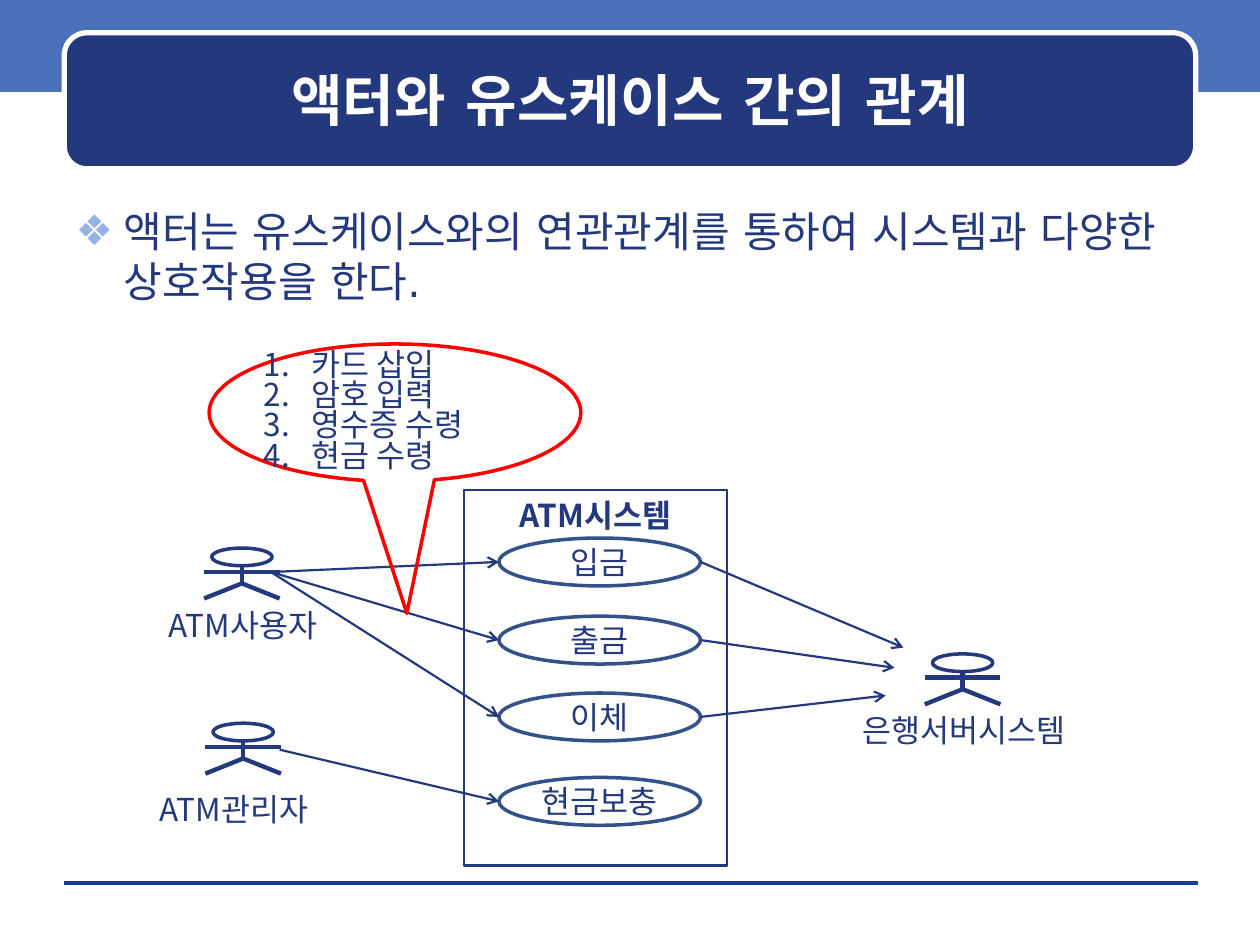
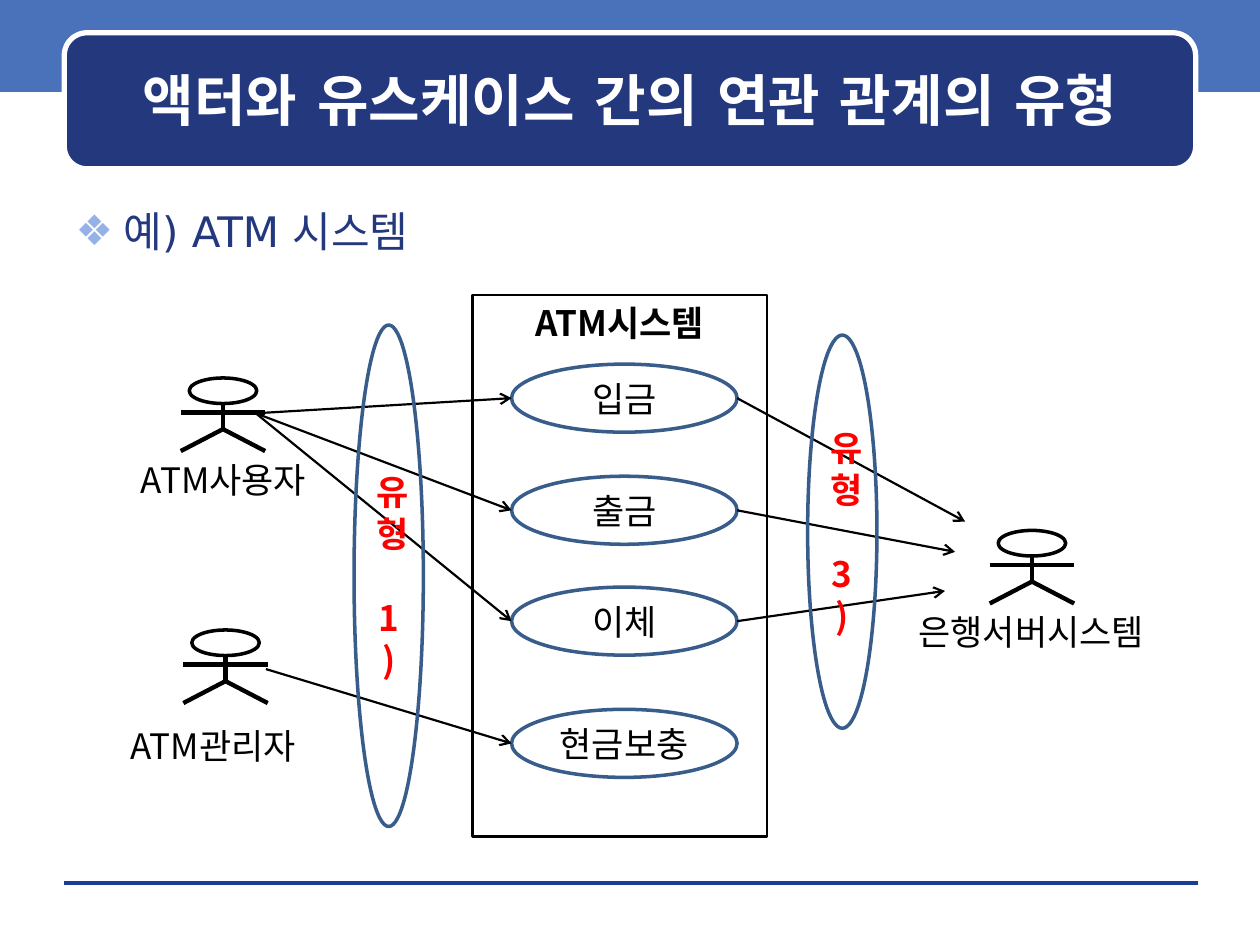
from lxml.etree import SubElement
from pptx import Presentation
from pptx.dml.color import RGBColor
from pptx.enum.shapes import MSO_CONNECTOR, MSO_SHAPE
from pptx.enum.text import MSO_ANCHOR, MSO_AUTO_SIZE, PP_ALIGN
from pptx.oxml.ns import qn
from pptx.util import Inches, Pt

NAVY = RGBColor(0x23, 0x38, 0x7D)
BAND_BLUE = RGBColor(0x49, 0x72, 0xBB)
RULE_BLUE = RGBColor(0x1A, 0x3D, 0x97)
BULLET_BLUE = RGBColor(0x96, 0xB1, 0xE6)
DARK_OVAL = RGBColor(0x33, 0x52, 0x89)
OVAL = RGBColor(0x38, 0x5D, 0x8A)
RED = RGBColor(0xFF, 0x00, 0x00)
BLACK = RGBColor(0x00, 0x00, 0x00)
WHITE = RGBColor(0xFF, 0xFF, 0xFF)

HEADING_FONT = "DejaVu Sans"
DIAGRAM_FONT = "Noto Sans CJK KR"
HANGING = 0.38

SYSTEM = "ATM시스템"
USE_CASES = ["입금", "출금", "이체", "현금보충"]
USER, MANAGER, SERVER = "ATM사용자", "ATM관리자", "은행서버시스템"

# Actors: label, centre x and top of the figure, box of the label.
# Callers: start of the arrow, number of the use case. Replies: end of the arrow.
SLIDES = [
    {
        "title": "액터와 유스케이스 간의 관계",
        "bullet": "액터는 유스케이스와의 연관관계를 통하여 시스템과 다양한 상호작용을 한다.",
        "body_height": 0.92,
        "ink": NAVY, "oval": DARK_OVAL, "size": 18,
        "actor_size": (0.6, 0.4),
        "actors": [
            (USER, 1.92, 4.35, (1.24, 4.76, 1.66, 0.4)),
            (MANAGER, 1.93, 5.74, (1.17, 6.22, 1.66, 0.4)),
            (SERVER, 7.64, 5.19, (6.75, 5.59, 2.18, 0.4)),
        ],
        "system": (3.68, 3.89, 2.09, 2.98),
        "case_left": 3.96, "case_size": (1.6, 0.38),
        "case_tops": [4.27, 4.89, 5.5, 6.17],
        "callers": [((2.15, 4.54), 0), ((2.15, 4.54), 1), ((2.15, 4.54), 2),
                    ((2.22, 5.95), 3)],
        "replies": [(7.17, 5.14), (7.1, 5.3), (7.03, 5.52)],
        "steps": ["카드 삽입", "암호 입력", "영수증 수령", "현금 수령"],
        "kinds": [],
    },
    {
        "title": "액터와 유스케이스 간의 연관 관계의 유형",
        "bullet": "예) ATM 시스템",
        "body_height": 5.33,
        "ink": BLACK, "oval": OVAL, "size": 20,
        "actor_size": (0.67, 0.58),
        "actors": [
            (USER, 1.77, 3.0, (1.02, 3.59, 1.86, 0.44)),
            (MANAGER, 1.79, 5.0, (0.94, 5.7, 1.86, 0.44)),
            (SERVER, 8.19, 4.21, (7.19, 4.8, 2.19, 0.44)),
        ],
        "system": (3.75, 2.34, 2.34, 4.3),
        "case_left": 4.06, "case_size": (1.79, 0.54),
        "case_tops": [2.89, 3.78, 4.66, 5.63],
        "callers": [((2.03, 3.28), 0), ((2.03, 3.28), 1), ((2.03, 3.28), 2),
                    ((2.11, 5.31), 3)],
        "replies": [(7.66, 4.14), (7.58, 4.38), (7.5, 4.69)],
        "steps": [],
        "kinds": [("유형 1)", (2.81, 2.58, 0.55, 3.98)),
                  ("유형 3)", (6.41, 2.66, 0.55, 3.12))],
    },
]
CALLOUT = (1.66, 2.73, 2.95, 1.09)
CALLOUT_TIP = (0.032, 1.461)


def inches(values):
    return [Inches(value) for value in values]


def style_paragraph(para, font_name, size, color, bold=False, align=PP_ALIGN.LEFT):
    para.alignment = align
    font = para.font
    font.name, font.size, font.bold = font_name, Pt(size), bold
    font.color.rgb = color
    defaults = para._p.pPr.find(qn("a:defRPr"))
    SubElement(defaults, qn("a:ea"), typeface=font_name)


def add_bullet(para, color, **marker):
    """Hang the paragraph on a character (char=) or a number (type=)."""
    properties = para._p.get_or_add_pPr()
    properties.set("marL", str(Inches(HANGING)))
    properties.set("indent", str(-Inches(HANGING)))
    bullet_color = SubElement(properties, qn("a:buClr"))
    SubElement(bullet_color, qn("a:srgbClr"), val=str(color))
    tag = "a:buChar" if "char" in marker else "a:buAutoNum"
    SubElement(properties, qn(tag), **marker)


def fill_frame(frame, lines, anchor, side_inset=0.1):
    frame.word_wrap = True
    frame.vertical_anchor = anchor
    frame.margin_left = frame.margin_right = Inches(side_inset)
    frame.text = "\n".join(lines)
    return frame.paragraphs


def add_shape(shapes, kind, box, line, width, fill=None):
    shape = shapes.add_shape(kind, *inches(box))
    shape.shadow.inherit = False
    if fill is None:
        shape.fill.background()
    else:
        shape.fill.solid()
        shape.fill.fore_color.rgb = fill
    if line is None:
        shape.line.fill.background()
    else:
        shape.line.color.rgb = line
        shape.line.width = Pt(width)
    return shape


def add_line(shapes, start, end, color, width, arrow=False):
    line = shapes.add_connector(MSO_CONNECTOR.STRAIGHT, *inches(start + end))
    line.line.color.rgb = color
    line.line.width = Pt(width)
    if arrow:
        SubElement(line.line._get_or_add_ln(), qn("a:tailEnd"), type="arrow")
    SubElement(line.element.spPr, qn("a:effectLst"))
    return line


def add_layout_bands(layout, page):
    """Draw the shared bands once and move them to the layout."""
    shapes = page.shapes
    bands = [
        add_shape(shapes, MSO_SHAPE.RECTANGLE, (0, -0.03, 10, 0.76), None, 0, BAND_BLUE),
        add_line(shapes, (0.51, 7.01), (9.51, 7.01), RULE_BLUE, 0),
        add_shape(shapes, MSO_SHAPE.ROUNDED_RECTANGLE, (0.51, 0.26, 8.98, 1.08),
                  WHITE, 3, NAVY),
    ]
    for number, band in enumerate(bands, start=20):
        band.element.xpath(".//p:cNvPr")[0].set("id", str(number))
        layout.shapes.element.append(band.element)


def place(placeholder, box):
    placeholder.left, placeholder.top, placeholder.width, placeholder.height = inches(box)
    placeholder.text_frame.auto_size = MSO_AUTO_SIZE.NONE


def add_heading(page, content):
    title, body = page.shapes.title, page.placeholders[1]
    place(title, (0.6, 0.35, 8.81, 0.88))
    para = fill_frame(title.text_frame, [content["title"]], MSO_ANCHOR.MIDDLE)[0]
    style_paragraph(para, HEADING_FONT, 32, WHITE, True, PP_ALIGN.CENTER)

    place(body, (0.5, 1.58, 9, content["body_height"]))
    para = fill_frame(body.text_frame, [content["bullet"]], MSO_ANCHOR.TOP)[0]
    para.space_before = Pt(0)
    add_bullet(para, BULLET_BLUE, char="❖")
    style_paragraph(para, HEADING_FONT, 24, NAVY)


def add_actor(page, content, label, center, top, label_box):
    width, height = content["actor_size"]
    ink = content["ink"]
    left, right = center - width / 2, center + width / 2
    neck, arms, hip, feet = (top + height * part for part in (0.35, 0.47, 0.7, 1))
    figure = page.shapes.add_group_shape().shapes
    add_shape(figure, MSO_SHAPE.OVAL,
              (center - 0.4 * width, top, 0.8 * width, neck - top), ink, 2)
    for start, end in [((center, neck), (center, hip)), ((left, arms), (right, arms)),
                       ((center, hip), (left, feet)), ((center, hip), (right, feet))]:
        add_line(figure, start, end, ink, 2.5)
    box = page.shapes.add_textbox(*inches(label_box))
    para = fill_frame(box.text_frame, [label], MSO_ANCHOR.TOP)[0]
    style_paragraph(para, DIAGRAM_FONT, content["size"], ink)


def add_system(page, content):
    ink, size = content["ink"], content["size"]
    frame = add_shape(page.shapes, MSO_SHAPE.RECTANGLE, content["system"], ink, 1.25)
    para = fill_frame(frame.text_frame, [SYSTEM], MSO_ANCHOR.TOP)[0]
    style_paragraph(para, DIAGRAM_FONT, size, ink, True, PP_ALIGN.CENTER)

    left, (width, height) = content["case_left"], content["case_size"]
    for name, top in zip(USE_CASES, content["case_tops"]):
        case = add_shape(page.shapes, MSO_SHAPE.OVAL, (left, top, width, height),
                         content["oval"], 2)
        para = fill_frame(case.text_frame, [name], MSO_ANCHOR.MIDDLE, 0)[0]
        style_paragraph(para, DIAGRAM_FONT, size, ink, align=PP_ALIGN.CENTER)

    middles = [top + height / 2 for top in content["case_tops"]]
    for start, case_number in content["callers"]:
        add_line(page.shapes, start, (left, middles[case_number]), ink, 1.25, True)
    for middle, end in zip(middles, content["replies"]):
        add_line(page.shapes, (left + width, middle), end, ink, 1.25, True)


def add_callout(page, content):
    callout = add_shape(page.shapes, MSO_SHAPE.OVAL_CALLOUT, CALLOUT, RED, 2)
    callout.adjustments[0], callout.adjustments[1] = CALLOUT_TIP
    for para in fill_frame(callout.text_frame, content["steps"], MSO_ANCHOR.MIDDLE, 0):
        para.line_spacing = 0.8
        add_bullet(para, NAVY, type="arabicPeriod")
        style_paragraph(para, DIAGRAM_FONT, content["size"], content["ink"])


def add_kind(page, content, label, box):
    oval = add_shape(page.shapes, MSO_SHAPE.OVAL, box, content["oval"], 2)
    para = fill_frame(oval.text_frame, [label], MSO_ANCHOR.MIDDLE)[0]
    style_paragraph(para, DIAGRAM_FONT, content["size"], RED, True, PP_ALIGN.CENTER)


def main():
    deck = Presentation()
    deck.slide_width, deck.slide_height = Inches(10), Inches(7.5)
    layout = deck.slide_layouts[1]
    for number, content in enumerate(SLIDES):
        page = deck.slides.add_slide(layout)
        if number == 0:
            add_layout_bands(layout, page)
        add_heading(page, content)
        for actor in content["actors"]:
            add_actor(page, content, *actor)
        add_system(page, content)
        if content["steps"]:
            add_callout(page, content)
        for kind in content["kinds"]:
            add_kind(page, content, *kind)
    deck.save("out.pptx")


if __name__ == "__main__":
    main()
